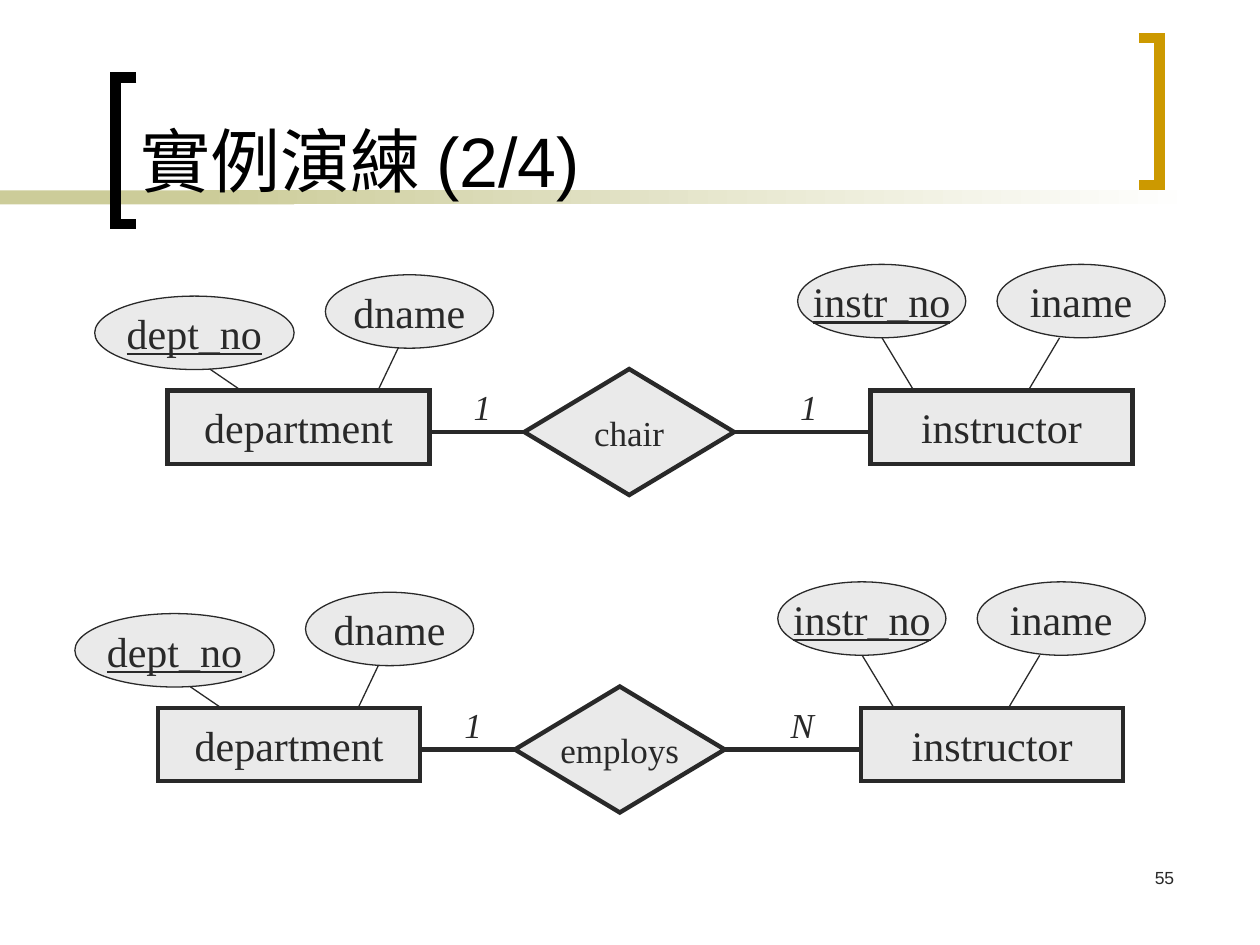
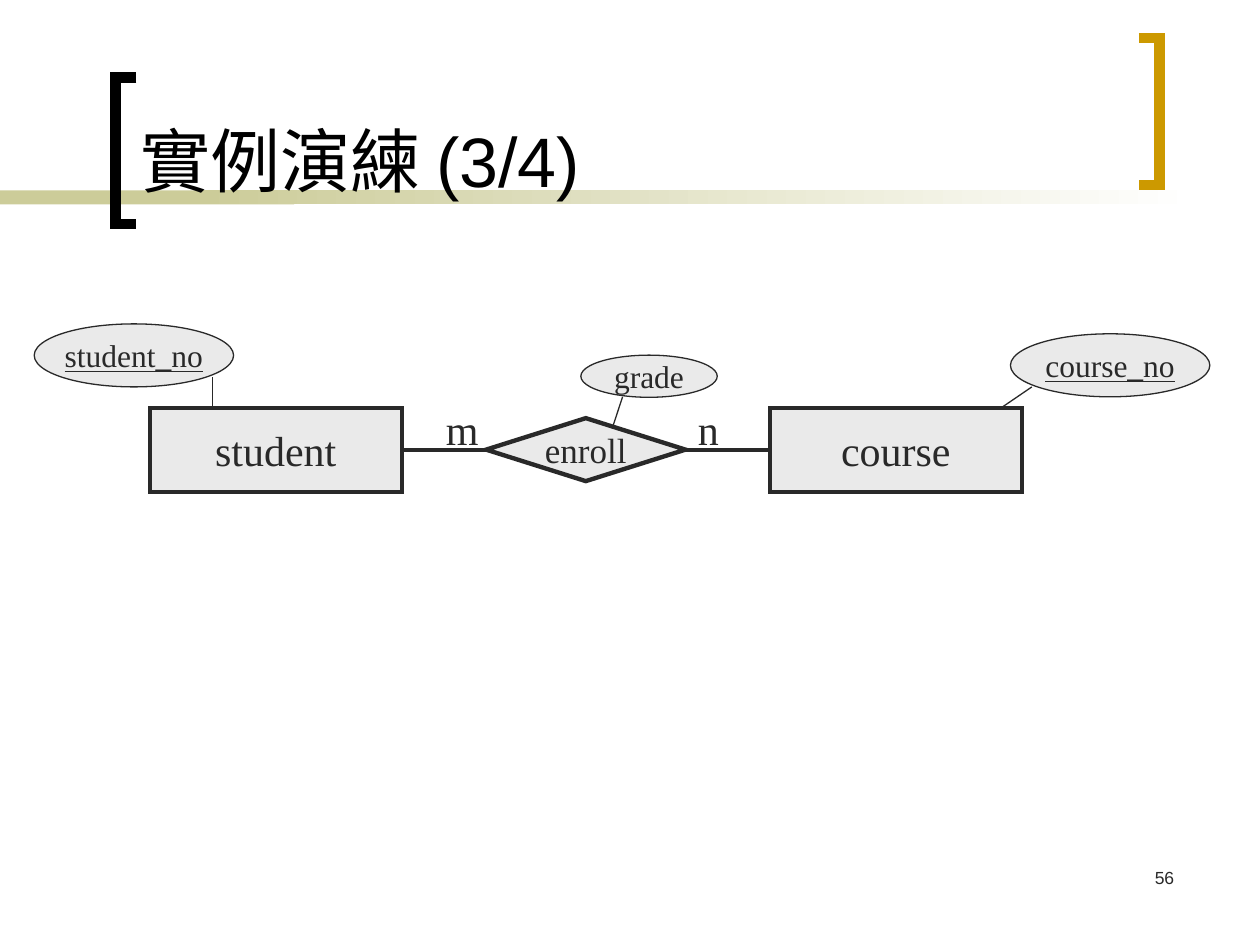
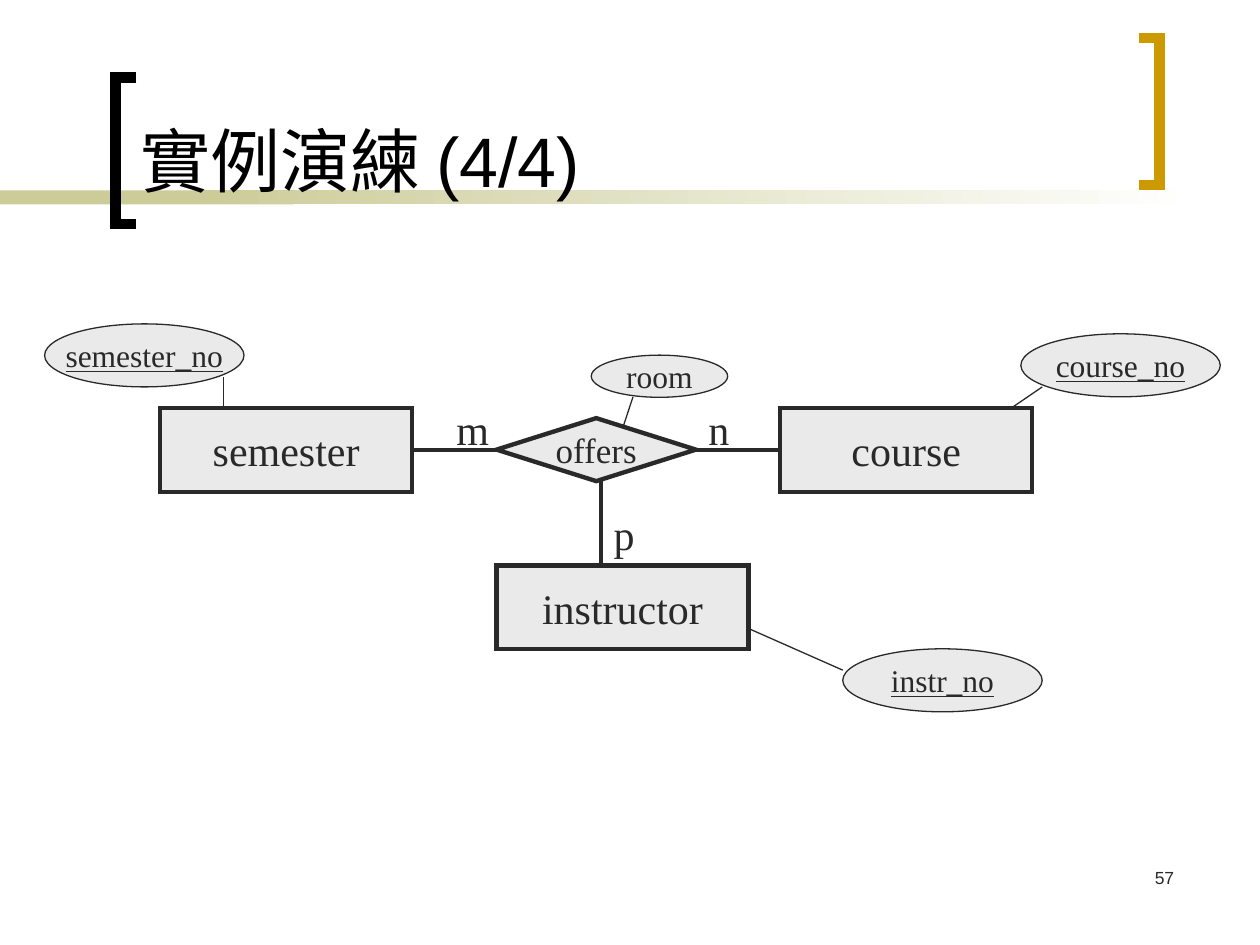
from dataclasses import dataclass
from typing import Any

from lxml import etree
from pptx import Presentation
from pptx.dml.color import RGBColor
from pptx.enum.shapes import MSO_CONNECTOR, MSO_SHAPE
from pptx.enum.text import MSO_ANCHOR, PP_ALIGN
from pptx.oxml.ns import qn
from pptx.util import Cm, Pt

RECTANGLE = MSO_SHAPE.RECTANGLE
DIAMOND = MSO_SHAPE.DIAMOND
OVAL = MSO_SHAPE.OVAL
STRAIGHT = MSO_CONNECTOR.STRAIGHT
TOP, MIDDLE, BOTTOM = MSO_ANCHOR.TOP, MSO_ANCHOR.MIDDLE, MSO_ANCHOR.BOTTOM
LEFT, CENTER, RIGHT = PP_ALIGN.LEFT, PP_ALIGN.CENTER, PP_ALIGN.RIGHT

BLACK = RGBColor(0x00, 0x00, 0x00)
WHITE = RGBColor(0xFF, 0xFF, 0xFF)
INK = RGBColor(0x29, 0x29, 0x29)
NODE_GRAY = RGBColor(0xEA, 0xEA, 0xEA)
BAND_OLIVE = RGBColor(0xCC, 0xCC, 0x99)
BRACKET_GOLD = RGBColor(0xCC, 0x99, 0x00)

HEADING_FONT = "Arial"
DIAGRAM_FONT = "Times New Roman"
THICK, MEDIUM, THIN = 2.5, 2.25, 0.75
SIDE_LEFT, SIDE_RIGHT = 1, 3
BRACKET_ARM, BRACKET_HEIGHT = 0.42, 2.96
ATTRIBUTE_HEIGHT = 1.48


@dataclass(frozen=True)
class Box:
    left: float
    top: float
    width: float
    height: float

    def lengths(self, right: float = 0, down: float = 0) -> tuple[Cm, ...]:
        return (Cm(self.left + right), Cm(self.top + down),
                Cm(self.width), Cm(self.height))


@dataclass(frozen=True)
class Node:
    text: str
    box: Box
    kind: Any = OVAL
    size: int = 24
    line_width: float = THIN
    key: bool = False


@dataclass(frozen=True)
class Label:
    text: str
    box: Box
    size: int = 24
    italic: bool = False


@dataclass(frozen=True)
class Link:
    start: tuple[float, float]
    end: tuple[float, float]
    width: float = THIN


def write_text(shape: Any, text: str, align: Any, anchor: Any, wrap: bool,
               font_values: dict[str, Any]) -> None:
    frame = shape.text_frame
    frame.word_wrap = wrap
    frame.vertical_anchor = anchor
    paragraph = frame.paragraphs[0]
    paragraph.alignment = align
    run = paragraph.add_run()
    run.text = text
    color = font_values.get("color", INK)
    for name, value in font_values.items():
        if name != "color":
            setattr(run.font, name, value)
    run.font.color.rgb = color


def outline(shape: Any, color: RGBColor, width: float) -> None:
    shape.shadow.inherit = False
    shape.line.color.rgb = color
    shape.line.width = Pt(width)
    line = shape.element.spPr.find(qn("a:ln"))
    etree.SubElement(line, qn("a:miter"), lim="800000")


def draw_node(slide: Any, node: Node, right: float = 0, down: float = 0) -> Any:
    shape = slide.shapes.add_shape(node.kind, *node.box.lengths(right, down))
    shape.fill.solid()
    shape.fill.fore_color.rgb = NODE_GRAY
    outline(shape, INK, node.line_width)
    write_text(shape, node.text, CENTER, MIDDLE, False,
               {"name": DIAGRAM_FONT, "size": Pt(node.size), "underline": node.key})
    return shape


def draw_label(slide: Any, label: Label, right: float = 0, down: float = 0) -> None:
    shape = slide.shapes.add_textbox(*label.box.lengths(right, down))
    write_text(shape, label.text, LEFT, TOP, True,
               {"name": DIAGRAM_FONT, "size": Pt(label.size), "italic": label.italic})


def draw_link(slide: Any, link: Link, right: float = 0, down: float = 0) -> Any:
    ends = [Cm(value + shift) for point in (link.start, link.end)
            for value, shift in zip(point, (right, down))]
    connector = slide.shapes.add_connector(STRAIGHT, *ends)
    connector.line.color.rgb = INK
    connector.line.width = Pt(link.width)
    etree.SubElement(connector.element.spPr, qn("a:effectLst"))
    return connector


def draw_band(slide: Any, box: Box, fades: bool) -> None:
    band = slide.shapes.add_shape(RECTANGLE, *box.lengths())
    band.shadow.inherit = False
    band.line.fill.background()
    if fades:
        band.fill.gradient()
        band.fill.gradient_angle = 0
        for stop, color in zip(band.fill.gradient_stops, (BAND_OLIVE, WHITE)):
            stop.color.rgb = color
    else:
        band.fill.solid()
        band.fill.fore_color.rgb = BAND_OLIVE


def draw_bracket(slide: Any, tip: float, spine: float, top: float,
                 color: RGBColor) -> None:
    bottom = top + BRACKET_HEIGHT
    builder = slide.shapes.build_freeform(Cm(tip), Cm(top))
    corners = [(spine, top), (spine, bottom), (tip, bottom)]
    builder.add_line_segments([(Cm(x), Cm(y)) for x, y in corners], close=False)
    bracket = builder.convert_to_shape()
    bracket.fill.background()
    outline(bracket, color, 6)


def add_page(presentation: Any, title: str, number: int) -> Any:
    slide = presentation.slides.add_slide(presentation.slide_layouts[6])
    draw_band(slide, Box(0, 3.84, 5.93, 0.28), False)
    draw_band(slide, Box(4.02, 3.84, 20.11, 0.28), True)
    draw_bracket(slide, 2.33 + BRACKET_ARM, 2.33, 1.56, BLACK)
    draw_bracket(slide, 23.38 - BRACKET_ARM, 23.38, 0.77, BRACKET_GOLD)
    number_box = slide.shapes.add_textbox(*Box(18.63, 17.36, 5.29, 1.27).lengths())
    write_text(number_box, str(number), RIGHT, TOP, True,
               {"name": HEADING_FONT, "size": Pt(10)})
    title_box = slide.shapes.add_textbox(*Box(2.59, 1.52, 19.9, 2.67).lengths())
    write_text(title_box, title, LEFT, BOTTOM, True,
               {"name": HEADING_FONT, "size": Pt(40), "color": BLACK})
    return slide


def entity(text: str, left: float, top: float, width: float, height: float) -> Node:
    return Node(text, Box(left, top, width, height), RECTANGLE, 24, THICK)


def relationship(text: str, box: Box) -> Node:
    return Node(text, box, DIAMOND, 20, THICK)


DEPARTMENT = entity("department", 3.38, 7.87, 5.28, 1.48)
INSTRUCTOR = entity("instructor", 17.55, 7.87, 5.28, 1.48)
STAFF_LINE = Link((8.66, 8.71), (17.55, 8.71), THICK)
STAFF_DIAMOND = Box(10.57, 7.44, 4.23, 2.54)
STAFF_ATTRIBUTES = [
    Node("dept_no", Box(1.91, 5.97, 4.02, ATTRIBUTE_HEIGHT), key=True),
    Node("dname", Box(6.56, 5.54, 3.39, ATTRIBUTE_HEIGHT)),
    Node("instr_no", Box(16.08, 5.33, 3.39, ATTRIBUTE_HEIGHT), key=True),
    Node("iname", Box(20.1, 5.33, 3.39, ATTRIBUTE_HEIGHT)),
]
STAFF_LINKS = [
    Link((4.23, 7.44), (4.86, 7.87)),
    Link((8.03, 7.01), (7.62, 7.87)),
    Link((17.78, 6.81), (18.42, 7.87)),
    Link((21.36, 6.81), (20.73, 7.87)),
]


def draw_staff_diagram(slide: Any, verb: str, instructor_count: str,
                       right: float, attributes_right: float, down: float) -> None:
    for node in (DEPARTMENT, INSTRUCTOR):
        draw_node(slide, node, right, down)
    draw_link(slide, STAFF_LINE, right, down)
    draw_node(slide, relationship(verb, STAFF_DIAMOND), right, down)
    for text, left, width in (("1", 9.3, 0.85), (instructor_count, 15.88, 1.27)):
        draw_label(slide, Label(text, Box(left, 7.65, width, 1.09), 20, True),
                   right, down)
    for node in STAFF_ATTRIBUTES:
        draw_node(slide, node, attributes_right, down)
    for link in STAFF_LINKS:
        draw_link(slide, link, attributes_right, down)


def key_attribute(text: str, left: float, top: float) -> Node:
    return Node(text, Box(left, top, 4.02, 1.27), size=18, key=True)


def count_label(text: str, left: float, top: float) -> Label:
    return Label(text, Box(left, top, 1.27, 1.27))


COURSE_LINKS = [
    Link((12.55, 8), (12.34, 8.64)),
    Link((20.8, 7.8), (20.17, 8.23)),
    Link((4.29, 7.6), (4.29, 8.23)),
]


def draw_course_diagram(slide: Any, owner: str, verb: str, detail: str,
                        line_width: float, right: float) -> None:
    owner_shape, course_shape = [
        draw_node(slide, entity(text, left, 8.23, 5.08, 1.69), right)
        for text, left in ((owner, 3.02), ("course", 15.52))]
    line = draw_link(slide, Link((8.1, 9.07), (15.52, 9.07), line_width), right)
    line.begin_connect(owner_shape, SIDE_RIGHT)
    line.end_connect(course_shape, SIDE_LEFT)
    draw_node(slide, relationship(verb, Box(9.8, 8.43, 4.02, 1.27)), right)
    for text, left in (("m", 8.74), ("n", 13.82)):
        draw_label(slide, count_label(text, left, 8), right)
    attributes = [
        Node(detail, Box(11.71, 7.16, 2.75, 0.85), size=18),
        key_attribute("course_no", 20.37, 6.73),
        key_attribute(f"{owner}_no", 0.69, 6.53),
    ]
    for node in attributes:
        draw_node(slide, node, right)
    for link in COURSE_LINKS:
        draw_link(slide, link, right)


def draw_third_entity(slide: Any, right: float) -> None:
    draw_node(slide, entity("instructor", 9.8, 11.4, 5.08, 1.69), right)
    draw_node(slide, key_attribute("instr_no", 16.78, 13.08), right)
    draw_link(slide, Link((14.88, 12.67), (16.78, 13.51)), right)
    draw_link(slide, Link((11.91, 9.7), (11.91, 11.4), MEDIUM), right)
    draw_label(slide, count_label("p", 11.91, 10.13), right)


def main() -> None:
    presentation = Presentation()
    presentation.slide_width = Cm(25.4)
    presentation.slide_height = Cm(19.05)
    staff, enrollment, offering = [
        add_page(presentation, f"實例演練 ({part}/4)", 53 + part)
        for part in (2, 3, 4)]
    draw_staff_diagram(staff, "chair", "1", 0, 0, 0)
    draw_staff_diagram(staff, "employs", "N", -0.19, -0.4, 6.4)
    draw_course_diagram(enrollment, "student", "enroll", "grade", THICK, 0)
    draw_course_diagram(offering, "semester", "offers", "room", MEDIUM, 0.21)
    draw_third_entity(offering, 0.21)
    presentation.save("out.pptx")


if __name__ == "__main__":
    main()
